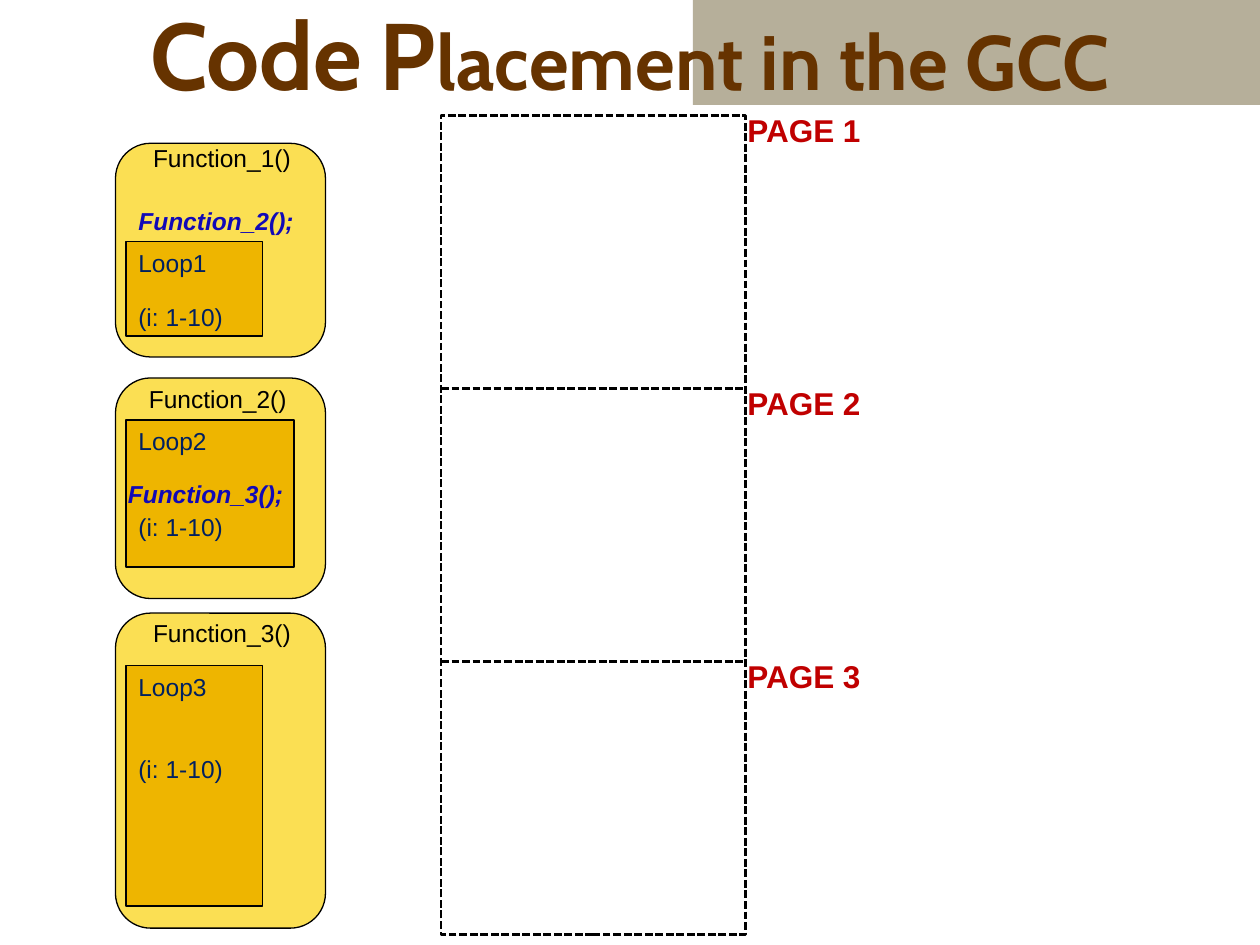
from dataclasses import dataclass

from lxml import etree
from pptx import Presentation
from pptx import util as u
from pptx.dml.color import RGBColor
from pptx.enum import dml, shapes, text
from pptx.oxml.ns import qn


@dataclass(frozen=True)
class Theme:
    banner: str = "B6AF9A"
    title: str = "663300"
    function: str = "FBDF53"
    loop: str = "EEB500"
    loop_text: str = "002060"
    call: str = "1109B7"
    page: str = "C00000"
    line: str = "000000"
    title_font: str = "Cabin"
    body_font: str = "Arial"
    title_large: int = 54
    title_small: int = 44
    body_size: int = 14
    page_size: int = 18
    thin: float = 0.75
    dashed: float = 1.5


@dataclass(frozen=True)
class Box:
    """A rectangle in grid columns and rows."""
    column: float
    row: float
    columns: float
    rows: float

    def lengths(self) -> list[int]:
        return [grid(value) for value in
                (self.column, self.row, self.columns, self.rows)]


@dataclass(frozen=True)
class Function:
    name: str
    body: Box
    label: Box
    loop_name: str
    loop: Box
    gap: float  # points between the two loop lines
    call: str = ""
    call_box: Box | None = None


THEME = Theme()
COLUMNS, ROWS = 120, 90  # twelve grid units to the inch

FUNCTIONS = [
    Function("Function_3()", Box(11, 58.4, 20, 30), Box(13.4, 58.3, 15.6, 4),
             "Loop3", Box(12, 63.4, 13, 22.9), 30),
    Function("Function_2()", Box(11, 36, 20, 21), Box(13, 36, 15.6, 4),
             "Loop2", Box(12, 40, 16, 14), 32,
             "Function_3();", Box(11, 45, 17.3, 4)),
    Function("Function_1()", Box(11, 13.65, 20, 20.35), Box(13.4, 13, 15.6, 4),
             "Loop1", Box(12, 23, 13, 9), 14,
             "Function_2();", Box(12, 19, 17.3, 4)),
]
MEMORY = Box(42, 11, 29, 78)
PAGES = 3


def grid(value: float) -> int:
    return u.Inches(10 * value / COLUMNS)


def add_run(paragraph, content: str, color: str, size: float, font: str,
            bold: bool = False, italic: bool = False) -> None:
    run = paragraph.add_run()
    run.text = content
    run.font.name = font
    run.font.size = u.Pt(size)
    run.font.bold = bold
    run.font.italic = italic
    run.font.color.rgb = RGBColor.from_string(color)


def style_line(line, width: float, dashed: bool = False) -> None:
    line.color.rgb = RGBColor.from_string(THEME.line)
    line.width = u.Pt(width)
    if dashed:
        line.dash_style = dml.MSO_LINE.SQUARE_DOT


def add_block(slide, box: Box, fill: str = "", rounded: bool = False):
    kind = shapes.MSO_SHAPE.ROUNDED_RECTANGLE if rounded else shapes.MSO_SHAPE.RECTANGLE
    shape = slide.shapes.add_shape(kind, *box.lengths())
    shape.shadow.inherit = False
    if fill:
        shape.fill.solid()
        shape.fill.fore_color.rgb = RGBColor.from_string(fill)
    else:
        shape.fill.background()
    style_line(shape.line, THEME.thin)
    return shape


def add_label(slide, box: Box, content: str, color: str,
              size: float = THEME.body_size, bold: bool = False,
              italic: bool = False) -> None:
    frame = slide.shapes.add_textbox(*box.lengths()).text_frame
    frame.word_wrap = False
    add_run(frame.paragraphs[0], content, color, size, THEME.body_font, bold, italic)


def add_title(slide) -> None:
    # Banner behind the right part of the title
    banner = add_block(slide, Box(66, 0, 54, 10), THEME.banner)
    banner.line.fill.background()
    slide.shapes._spTree.insert(2, banner._element)

    title = slide.shapes.title
    title.left, title.top, title.width, title.height = Box(9, 0, 102, 10).lengths()
    frame = title.text_frame
    frame.auto_size = text.MSO_AUTO_SIZE.NONE
    frame.vertical_anchor = text.MSO_ANCHOR.MIDDLE
    paragraph = frame.paragraphs[0]
    paragraph.alignment = text.PP_ALIGN.CENTER
    for content, size in (("Code", THEME.title_large), (" ", THEME.title_small),
                          ("P", THEME.title_large),
                          ("lacement in the GCC", THEME.title_small)):
        add_run(paragraph, content, THEME.title, size, THEME.title_font, bold=True)


def add_function(slide, function: Function) -> None:
    add_block(slide, function.body, THEME.function, rounded=True)
    add_label(slide, function.label, function.name, THEME.line)

    # Loop with its name and its range
    frame = add_block(slide, function.loop, THEME.loop).text_frame
    frame.vertical_anchor = text.MSO_ANCHOR.TOP
    name, iterations = frame.paragraphs[0], frame.add_paragraph()
    iterations.space_before = u.Pt(function.gap)
    for paragraph, content in ((name, function.loop_name), (iterations, "(i: 1-10)")):
        paragraph.alignment = text.PP_ALIGN.LEFT
        add_run(paragraph, content, THEME.loop_text, THEME.body_size, THEME.body_font)

    if function.call_box:
        add_label(slide, function.call_box, function.call, THEME.call,
                  bold=True, italic=True)


def add_memory(slide) -> None:
    style_line(add_block(slide, MEMORY).line, THEME.dashed, dashed=True)
    right = MEMORY.column + MEMORY.columns
    for page in range(PAGES):
        row = MEMORY.row + page * MEMORY.rows / PAGES
        if page:
            divider = slide.shapes.add_connector(
                shapes.MSO_CONNECTOR.STRAIGHT,
                grid(MEMORY.column), grid(row), grid(right), grid(row))
            style_line(divider.line, THEME.dashed, dashed=True)
            etree.SubElement(divider._element.spPr, qn("a:effectLst"))
        add_label(slide, Box(right - 1, row - 1, 13.3, 4.8), f"PAGE {page + 1}",
                  THEME.page, THEME.page_size, bold=True)


def main() -> None:
    presentation = Presentation()
    presentation.slide_width, presentation.slide_height = grid(COLUMNS), grid(ROWS)
    slide = presentation.slides.add_slide(presentation.slide_layouts[5])
    add_title(slide)
    for function in FUNCTIONS:
        add_function(slide, function)
    add_memory(slide)
    presentation.save("out.pptx")


if __name__ == "__main__":
    main()
